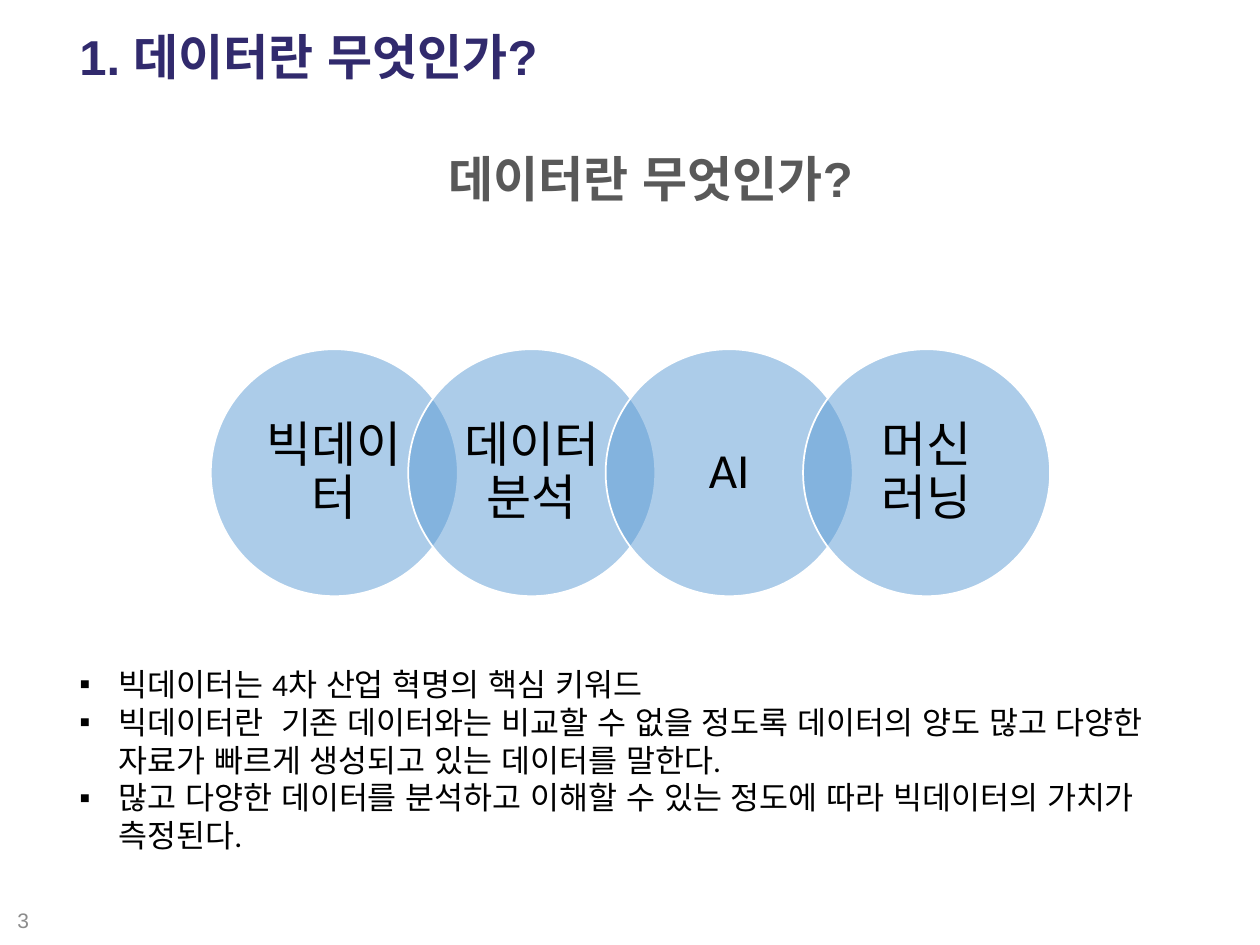
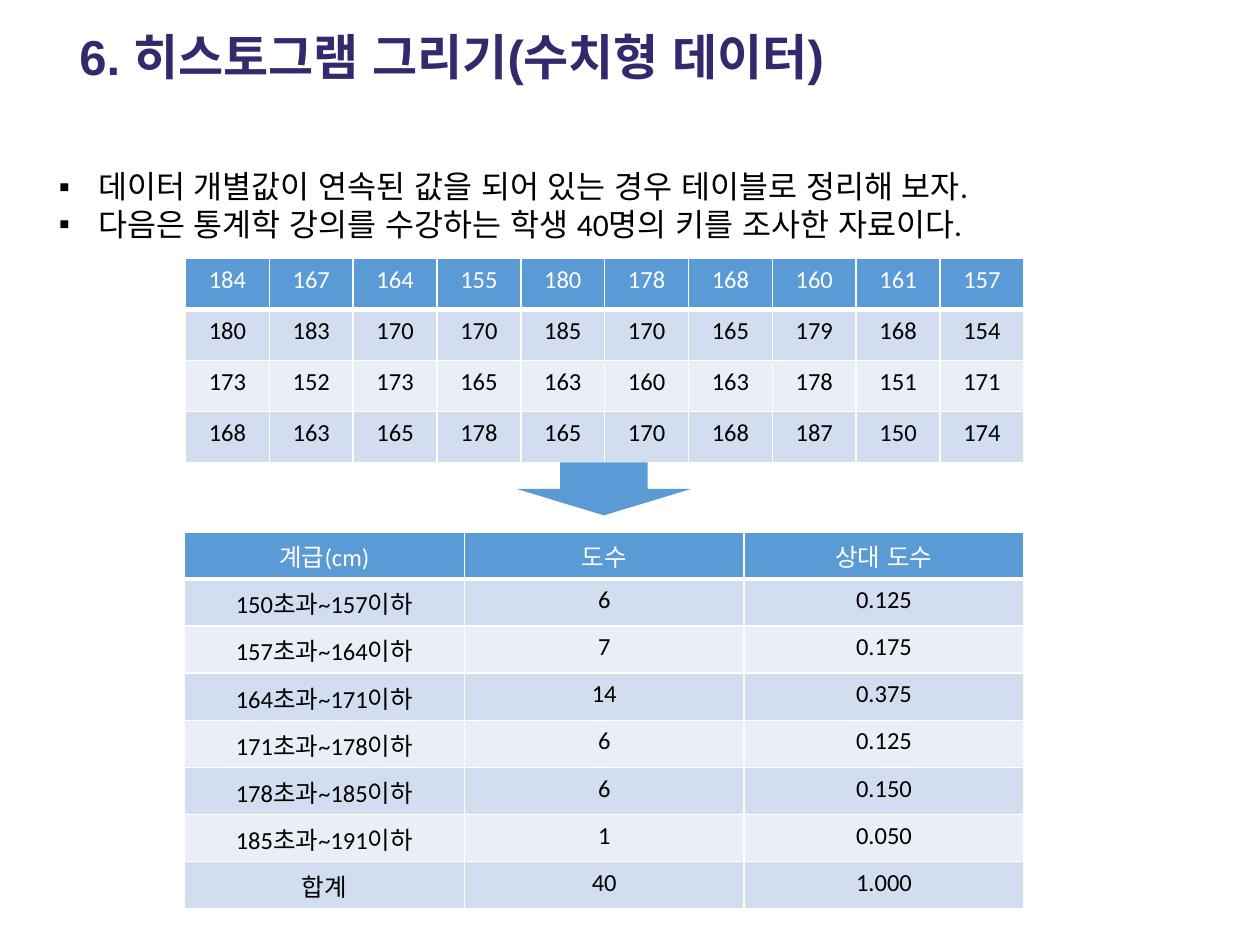
from dataclasses import dataclass

from lxml import etree
from pptx import Presentation
from pptx import util as u
from pptx.dml.color import RGBColor
from pptx.enum import lang, shapes, text
from pptx.oxml.ns import qn


@dataclass(frozen=True)
class Theme:
    heading_font: str = "Arial"
    body_font: str = "Calibri"
    title: str = "312A6D"
    subtitle: str = "595959"
    number: str = "8C8C8C"
    ink: str = "000000"
    white: str = "FFFFFF"
    accent: str = "5B9BD5"
    bands: tuple = ("EAEFF7", "D2DEEF")
    heading_size: int = 28
    body_size: int = 18
    table_size: int = 14
    number_size: int = 12


THEME = Theme()
CENTER = text.PP_ALIGN.CENTER
MIDDLE = text.MSO_ANCHOR.MIDDLE

KEYWORDS = ["빅데이터", "데이터분석", "AI", "머신 러닝"]
DATA_POINTS = [
    "빅데이터는 4차 산업 혁명의 핵심 키워드",
    "빅데이터란  기존 데이터와는 비교할 수 없을 정도록 데이터의 양도 많고 다양한 "
    "자료가 빠르게 생성되고 있는 데이터를 말한다.",
    "많고 다양한 데이터를 분석하고 이해할 수 있는 정도에 따라 빅데이터의 가치가 측정된다.",
]
HISTOGRAM_POINTS = [
    "데이터 개별값이 연속된 값을 되어 있는 경우 테이블로 정리해 보자.",
    "다음은 통계학 강의를 수강하는 학생 40명의 키를 조사한 자료이다.",
]
HEIGHTS = [
    [184, 167, 164, 155, 180, 178, 168, 160, 161, 157],
    [180, 183, 170, 170, 185, 170, 165, 179, 168, 154],
    [173, 152, 173, 165, 163, 160, 163, 178, 151, 171],
    [168, 163, 165, 178, 165, 170, 168, 187, 150, 174],
]
FREQUENCIES = [
    ["계급(cm)", "도수", "상대 도수"],
    ["150초과~157이하", 6, "0.125"],
    ["157초과~164이하", 7, "0.175"],
    ["164초과~171이하", 14, "0.375"],
    ["171초과~178이하", 6, "0.125"],
    ["178초과~185이하", 6, "0.150"],
    ["185초과~191이하", 1, "0.050"],
    ["합계", 40, "1.000"],
]


def set_values(target, values):
    for name, value in values.items():
        setattr(target, name, value)


def centimetres(*lengths):
    return [u.Cm(length) for length in lengths]


def write(para, words, color, size, font=THEME.body_font, bold=False, **layout):
    set_values(para, layout)
    span = para.add_run()
    span.text = str(words)
    set_values(span.font, {
        "name": font, "size": u.Pt(size), "bold": bold,
        "language_id": lang.MSO_LANGUAGE_ID.KOREAN,
    })
    span.font.color.rgb = RGBColor.from_string(color)


def add_box(page, place, **frame_values):
    frame = page.shapes.add_textbox(*centimetres(*place)).text_frame
    set_values(frame, {"word_wrap": True, **frame_values})
    return frame


def add_heading(page, place, words, color, alignment=None):
    frame = add_box(page, place, auto_size=text.MSO_AUTO_SIZE.SHAPE_TO_FIT_TEXT)
    write(frame.paragraphs[0], words, color, THEME.heading_size,
          THEME.heading_font, True, alignment=alignment)


def add_title(page, words):
    add_heading(page, (1.35, 0.41, 19.02, 1.45), words, THEME.title)


def add_page_number(page, number):
    frame = add_box(page, (0, 18.03, 0.94, 1.02), vertical_anchor=MIDDLE)
    write(frame.paragraphs[0], number, THEME.number, THEME.number_size,
          THEME.heading_font, alignment=CENTER)


def add_bullets(page, place, points):
    frame = add_box(page, place, auto_size=text.MSO_AUTO_SIZE.SHAPE_TO_FIT_TEXT)
    for index, point in enumerate(points):
        para = frame.add_paragraph() if index else frame.paragraphs[0]
        properties = para._p.get_or_add_pPr()
        indent = u.Cm(0.79)
        properties.set("marL", str(indent))
        properties.set("indent", str(-indent))
        etree.SubElement(properties, qn("a:buFont"), typeface=THEME.heading_font)
        etree.SubElement(properties, qn("a:buChar"), char="▪")
        write(para, point, THEME.ink, THEME.body_size)


def add_filled_shape(page, kind, place):
    shape = page.shapes.add_shape(kind, *centimetres(*place))
    shape.shadow.inherit = False
    shape.fill.solid()
    shape.fill.fore_color.rgb = RGBColor.from_string(THEME.accent)
    shape.line.fill.background()
    return shape


def add_keyword_chain(page, left, top, diameter, pitch, keywords):
    for index, keyword in enumerate(keywords):
        place = (left + index * pitch, top, diameter, diameter)
        circle = add_filled_shape(page, shapes.MSO_SHAPE.OVAL, place)
        fill_color = circle._element.spPr.find(f"{qn('a:solidFill')}/{qn('a:srgbClr')}")
        etree.SubElement(fill_color, qn("a:alpha"), val="50000")
        circle.line.color.rgb = RGBColor.from_string(THEME.white)
        circle.line.width = u.Pt(1)
        set_values(circle.text_frame, {
            "word_wrap": True, "vertical_anchor": MIDDLE,
            "margin_left": u.Cm(0.28), "margin_right": u.Cm(0.28),
            "margin_top": u.Cm(0.1), "margin_bottom": u.Cm(0.1),
        })
        write(circle.text_frame.paragraphs[0], keyword, THEME.ink,
              THEME.heading_size, alignment=CENTER, line_spacing=0.9)


def add_borders(cell, widths):
    properties = cell._tc.get_or_add_tcPr()
    for side, width in widths.items():
        line = etree.SubElement(properties, qn(f"a:ln{side}"), w=str(u.Pt(width)))
        fill = etree.SubElement(line, qn("a:solidFill"))
        etree.SubElement(fill, qn("a:srgbClr"), val=THEME.white)


def add_banded_table(page, left, top, column_width, row_height, rows):
    row_count, column_count = len(rows), len(rows[0])
    place = centimetres(left, top, column_width * column_count, row_height * row_count)
    table = page.shapes.add_table(row_count, column_count, *place).table
    for column in table.columns:
        column.width = u.Cm(column_width)
    for row_index, values in enumerate(rows):
        table.rows[row_index].height = u.Cm(row_height)
        header = row_index == 0
        borders = {"L": 1, "R": 1, "T": 3 if row_index == 1 else 1, "B": 3 if header else 1}
        fill_color = THEME.accent if header else THEME.bands[row_index % 2]
        for column_index, value in enumerate(values):
            cell = table.cell(row_index, column_index)
            add_borders(cell, borders)
            cell.fill.solid()
            cell.fill.fore_color.rgb = RGBColor.from_string(fill_color)
            write(cell.text_frame.paragraphs[0], value,
                  THEME.white if header else THEME.ink, THEME.table_size,
                  alignment=CENTER)


def build_data_page(page):
    add_title(page, "1. 데이터란 무엇인가?")
    add_page_number(page, 3)
    add_heading(page, (5.41, 2.87, 15.42, 1.45), "데이터란 무엇인가?",
                THEME.subtitle, CENTER)
    add_keyword_chain(page, 4.25, 7.04, 4.98, 3.98, KEYWORDS)
    add_bullets(page, (1.35, 13.28, 23.55, 4.11), DATA_POINTS)


def build_histogram_page(page):
    add_title(page, "6. 히스토그램 그리기(수치형 데이터)")
    add_bullets(page, (0.94, 3.25, 23.55, 1.8), HISTOGRAM_POINTS)
    add_banded_table(page, 3.74, 5.21, 1.69, 1.03, HEIGHTS)
    add_filled_shape(page, shapes.MSO_SHAPE.DOWN_ARROW, (10.41, 9.32, 3.53, 1.07))
    add_banded_table(page, 3.72, 10.72, 5.64, 0.95, FREQUENCIES)


def main():
    deck = Presentation()
    set_values(deck, {"slide_width": u.Cm(25.4), "slide_height": u.Cm(19.05)})
    for build_page in (build_data_page, build_histogram_page):
        build_page(deck.slides.add_slide(deck.slide_layouts[6]))
    deck.save("out.pptx")


if __name__ == "__main__":
    main()
